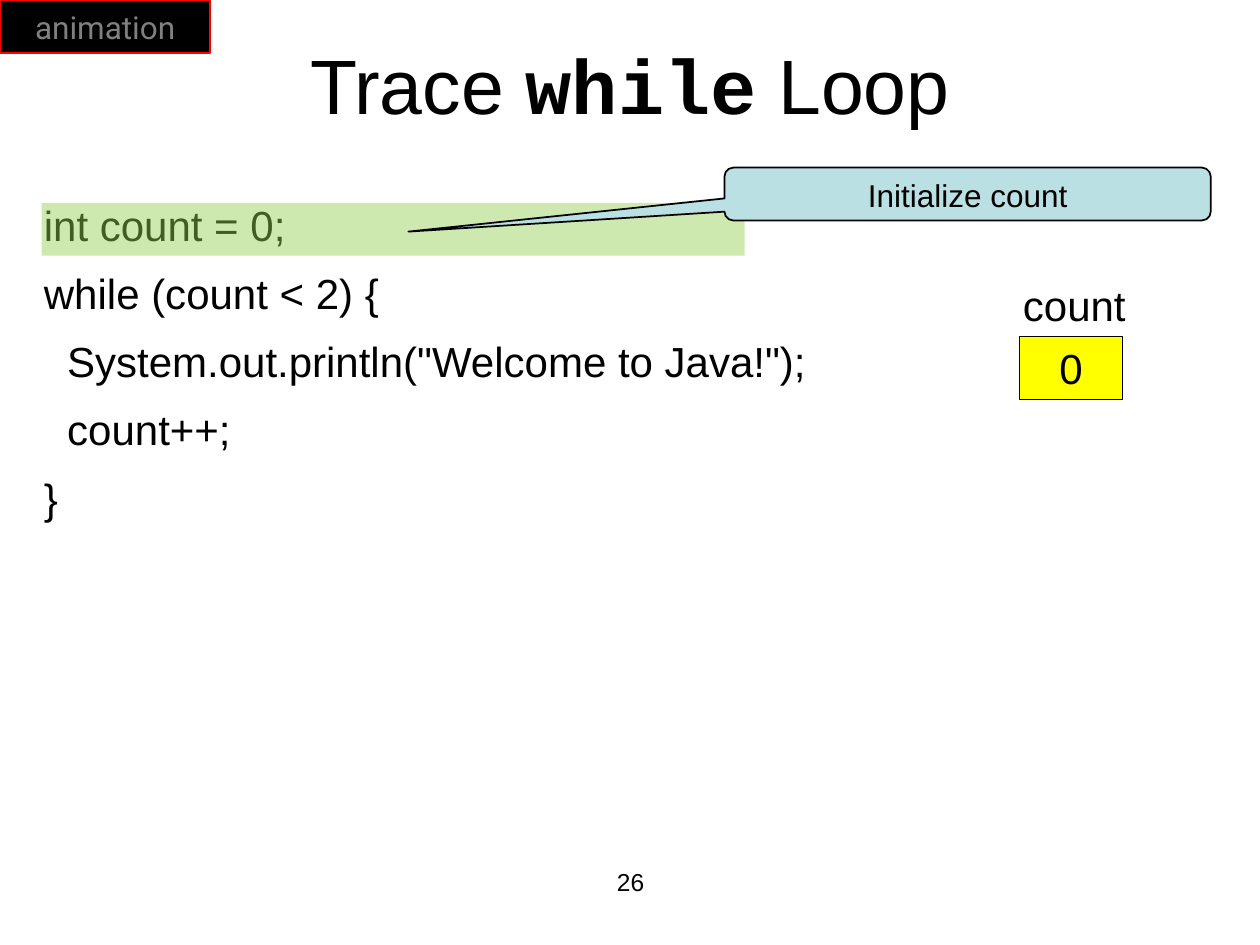
from lxml import etree
from pptx import Presentation
from pptx import util as u
from pptx.dml import color
from pptx.enum import shapes, text
from pptx.oxml import ns


def rgb(value):
    return color.RGBColor.from_string(value)


def apply(target, values):
    for name, value in values.items():
        setattr(target, name, value)


class SlideBuilder:
    font = "Arial"
    ink = "000000"
    code_gap = u.Pt(13)

    def __init__(self, page):
        self.page = page

    def add_text(self, box, lines, size, ink=None, font=None, anchor="TOP",
                 align="CENTER", wrap=True, spacing=None, gap=None):
        frame = box.text_frame
        apply(frame, {"word_wrap": wrap,
                      "vertical_anchor": getattr(text.MSO_ANCHOR, anchor)})
        for index, spans in enumerate(lines):
            para = frame.add_paragraph() if index else frame.paragraphs[0]
            apply(para, {"alignment": getattr(text.PP_ALIGN, align),
                         "line_spacing": spacing,
                         "space_before": gap if index else None})
            for words, style in spans:
                span = para.add_run()
                span.text = words
                apply(span.font, {"name": font or self.font,
                                  "size": u.Pt(size), **style})
                span.font.color.rgb = rgb(ink or self.ink)

    def label(self, area, lines, size, parent=None, **options):
        box = (parent or self.page).shapes.add_textbox(*map(u.Inches, area))
        self.add_text(box, lines, size, **options)

    def code(self, area, lines, size):
        self.label(area, [[(line, {})] for line in lines], size, align="LEFT",
                   spacing=0.9, gap=self.code_gap)

    def shape(self, kind, area, fill, line=None, width=1, parent=None):
        box = (parent or self.page).shapes.add_shape(
            getattr(shapes.MSO_SHAPE, kind), *map(u.Inches, area))
        box.shadow.inherit = False
        box.fill.solid()
        box.fill.fore_color.rgb = rgb(fill)
        if line:
            box.line.color.rgb = rgb(line)
            box.line.width = u.Pt(width)
        else:
            box.line.fill.background()
        return box

    def highlight(self, area, fill, opacity):
        box = self.shape("RECTANGLE", area, fill)
        tint = box.element.spPr.find(".//" + ns.qn("a:srgbClr"))
        etree.SubElement(tint, ns.qn("a:alpha"), val=str(opacity * 1000))

    def callout(self, area, words, fill, adjustments):
        box = self.shape("ROUNDED_RECTANGULAR_CALLOUT", area, fill, self.ink)
        for index, value in enumerate(adjustments):
            box.adjustments[index] = value
        self.add_text(box, [[(words, {})]], 18)

    def variable(self, name, value):
        group = self.page.shapes.add_group_shape()
        self.label((8.02, 2.17, 1.03, 0.5), [[(name, {})]], 24, group,
                   align="LEFT", wrap=False)
        box = self.shape("RECTANGLE", (8.09, 2.67, 0.82, 0.5), "FFFF00",
                         self.ink, 0.75, group)
        self.add_text(box, [[(value, {})]], 24)

    def badge(self, area, words):
        box = self.shape("RECTANGLE", area, "000000", "FF0000")
        self.add_text(box, [[(words, {})]], 18, ink="808080", font="Roboto",
                      anchor="MIDDLE", wrap=False)


def main():
    deck = Presentation()
    apply(deck, {"slide_width": u.Inches(10), "slide_height": u.Inches(7.5)})
    slide = SlideBuilder(deck.slides.add_slide(deck.slide_layouts[6]))
    slide.code((0.25, 1.58, 7.25, 3.29), [
        "int count = 0;",
        "while (count < 2) {",
        '  System.out.println("Welcome to Java!");',
        "  count++;",
        "}",
    ], 24)
    slide.label((3.42, 6.83, 3.17, 0.52), [[("26", {})]], 14)
    keyword = {"name": "Courier New", "bold": True}
    slide.label((0.75, 0.25, 8.5, 0.83),
                [[("Trace ", {}), ("while", keyword), (" Loop", {})]], 44,
                anchor="MIDDLE")
    slide.highlight((0.33, 1.61, 5.58, 0.42), "92D050", 45)
    slide.callout((5.75, 1.33, 3.86, 0.42), "Initialize count", "BBE0E3",
                  (-1.15, 0.71, 0.17))
    slide.badge((0, 0, 1.67, 0.42), "animation")
    slide.variable("count", "0")
    deck.save("out.pptx")


if __name__ == "__main__":
    main()
